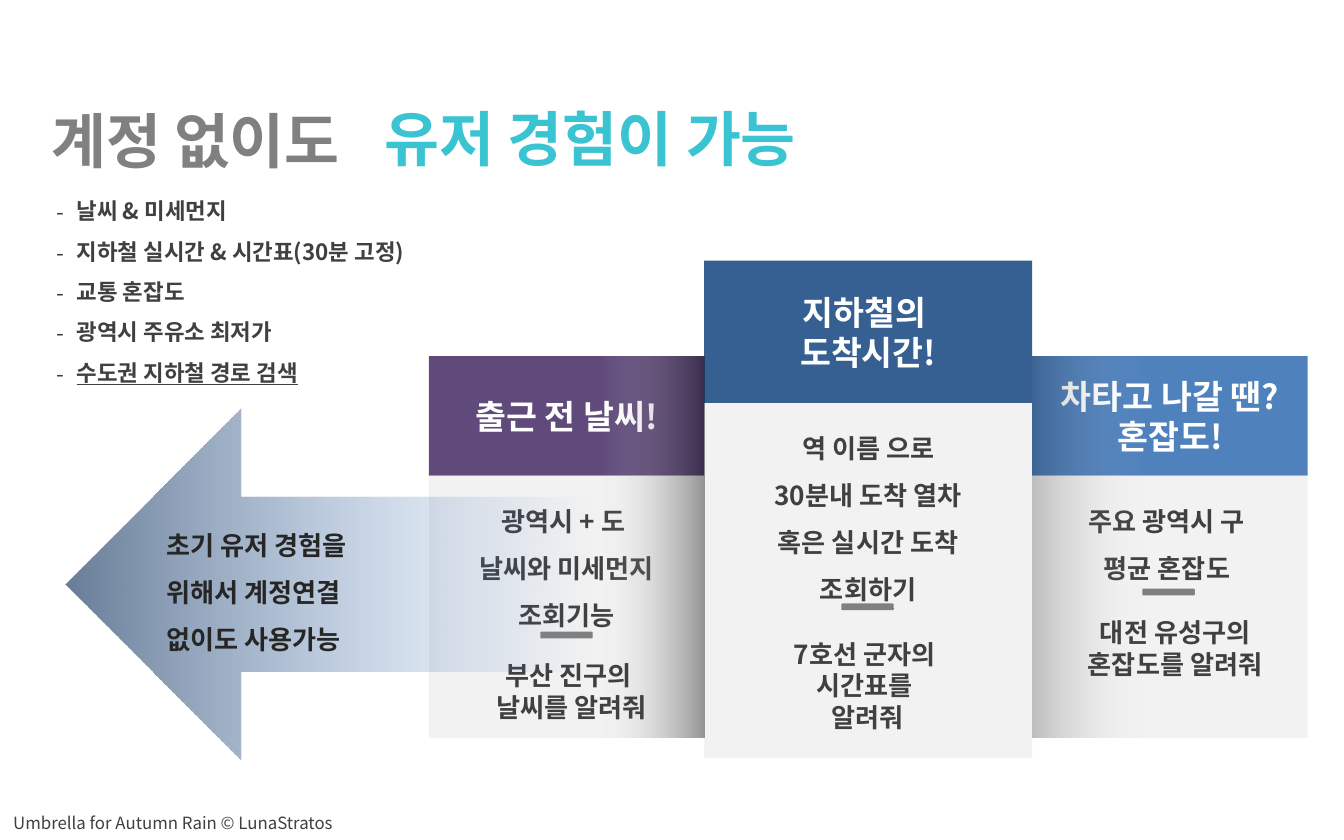
from lxml import etree
from pptx import Presentation
from pptx.dml.color import RGBColor
from pptx.enum.shapes import MSO_SHAPE
from pptx.enum.text import MSO_ANCHOR, MSO_AUTO_SIZE, PP_ALIGN
from pptx.oxml.ns import qn
from pptx.util import Inches, Pt

RECT, ROUND, ARROW = MSO_SHAPE.RECTANGLE, MSO_SHAPE.ROUNDED_RECTANGLE, MSO_SHAPE.LEFT_ARROW
TOP, MIDDLE = MSO_ANCHOR.TOP, MSO_ANCHOR.MIDDLE
LEFT, CENTER = PP_ALIGN.LEFT, PP_ALIGN.CENTER
FONT = "Noto Sans CJK KR"
LINE = 1.2  # height of a single line, in font sizes

C = {
    "gray": "808080", "dark_gray": "595959", "cyan": "3AC4D2", "azure": "1091FC",
    "text": "404040", "ink": "262626", "white": "FFFFFF", "black": "000000",
    "panel": "F2F2F2", "navy": "376092", "purple": "604A7B", "blue": "4F81BD",
    "arrow_dark": "17375E", "arrow_light": "558ED5",
}

# Content
TITLE, TITLE_ACCENT = "계정 없이도", "유저 경험이 가능"
FEATURES = ["날씨 & 미세먼지", "지하철 실시간 & 시간표(30분 고정)", "교통 혼잡도",
            "광역시 주유소 최저가", "수도권 지하철 경로 검색"]
# box: left, top, width, header height, body height; bar and example: left, top
CARDS = [
    {"box": (5.24, 1.94, 2.44, 1.06, 2.64), "color": "navy",
     "head": ["지하철의 ", "도착시간!"],
     "body": ["역 이름 으로", "30분내 도착 열차", "혹은 실시간 도착", "조회하기"],
     "bar": (6.26, 4.49), "example_at": (5.47, 4.7),
     "example": ["7호선 군자의 ", "시간표를 ", "알려줘"], "shades": []},
    {"box": (3.19, 2.65, 2.05, 0.89, 1.95), "color": "purple",
     "head": ["출근 전 날씨!"],
     "body": ["광역시 + 도 ", "날씨와 미세먼지", "조회기능"],
     "bar": (4.02, 4.7), "example_at": (3.27, 4.86),
     "example": ["부산 진구의 ", "날씨를 알려줘"],
     "shades": [(4.45, 0.79, "right")] * 2},
    {"box": (7.68, 2.65, 2.05, 0.89, 1.95), "color": "blue",
     "head": ["차타고 나갈 땐?", "혼잡도!"],
     "body": ["주요 광역시 구 ", "평균 혼잡도 "],
     "bar": (8.5, 4.38), "example_at": (7.76, 4.54),
     "example": ["대전 유성구의", "혼잡도를 알려줘"],
     "shades": [(7.68, 0.86, "left")]},
]
ARROW_TEXT = ["초기 유저 경험을", "위해서 계정연결", "없이도 사용가능"]
FOOTER = "Umbrella for Autumn Rain © LunaStratos"


def rgb(name):
    return RGBColor.from_string(C[name])


def set_gradient(fill, names, angle):
    fill.gradient()
    fill.gradient_angle = angle
    for stop, name in zip(fill.gradient_stops, names):
        stop.color.rgb = rgb(name)


def write(sp, lines, size, color, align=LEFT, spacing=1, bold=True,
          anchor=TOP, wrap=True, bullet=None):
    """Fill a shape with one paragraph a line; a tuple of colours is a gradient."""
    tf = sp.text_frame
    tf.word_wrap = wrap
    tf.auto_size = MSO_AUTO_SIZE.NONE
    tf.vertical_anchor = anchor
    for i, line in enumerate(lines):
        p = tf.paragraphs[0] if i == 0 else tf.add_paragraph()
        p.alignment = align
        p.line_spacing = Pt(round(size * LINE * spacing, 1))
        p.space_before = p.space_after = Pt(0)
        if bullet:
            pPr = p._p.get_or_add_pPr()
            pPr.set("marL", str(Inches(0.18)))
            pPr.set("indent", str(Inches(-0.15)))
            etree.SubElement(pPr, qn("a:buFont"), typeface=FONT)
            etree.SubElement(pPr, qn("a:buChar"), char=bullet)
        r = p.add_run()
        r.text = line
        r.font.size, r.font.bold, r.font.name = Pt(size), bold, FONT
        if isinstance(color, tuple):
            set_gradient(r.font.fill, color, 270)
        else:
            r.font.color.rgb = rgb(color)
        etree.SubElement(r._r.get_or_add_rPr(), qn("a:ea"), typeface=FONT)


def place(sp, x, y, w, h):
    sp.left, sp.top, sp.width, sp.height = map(Inches, (x, y, w, h))
    return sp


def add_shape(kind, x, y, w, h, color=None):
    sp = s.shapes.add_shape(kind, *map(Inches, (x, y, w, h)))
    sp.shadow.inherit = False
    sp.line.fill.background()
    if color:
        sp.fill.solid()
        sp.fill.fore_color.rgb = rgb(color)
    return sp


def add_fade(kind, x, y, w, h, stops):
    """Shape with a left-to-right gradient of (colour, opacity percent)."""
    sp = add_shape(kind, x, y, w, h)
    set_gradient(sp.fill, [name for name, _ in stops], 0)
    colors = sp._element.spPr.iter(qn("a:srgbClr"))
    for clr, (_, opacity) in zip(list(colors), stops):
        etree.SubElement(clr, qn("a:alpha"), val=str(opacity * 1000))


def add_text(x, y, w, h, *args, **kwargs):
    write(s.shapes.add_textbox(*map(Inches, (x, y, w, h))), *args, **kwargs)


prs = Presentation()
prs.slide_width, prs.slide_height = Inches(10), Inches(6.25)
s = prs.slides.add_slide(prs.slide_layouts[1])

# Title in two colours
write(place(s.shapes.title, 0.28, 0.72, 2.6, 0.64), [TITLE], 32,
      ("gray", "dark_gray"), wrap=False)
add_text(2.76, 0.71, 3.66, 0.64, [TITLE_ACCENT], 32, ("cyan", "azure"), wrap=False)

# Feature list, last entry underlined
features = place(s.placeholders[1], 0.29, 1.32, 3.11, 1.62)
write(features, FEATURES, 12, "text", spacing=1.5, wrap=False, bullet="-")
features.text_frame.paragraphs[-1].runs[0].font.underline = True

# Cards: header, body, side shades, bar and example
for card in CARDS:
    x, y, w, head_h, body_h = card["box"]
    head = add_shape(RECT, x, y, w, head_h, card["color"])
    write(head, card["head"], 18, "white", CENTER, anchor=MIDDLE)
    body = add_shape(RECT, x, y + head_h, w, body_h, "panel")
    body.text_frame.margin_top = Inches(0.1)
    write(body, card["body"], 14, "text", CENTER, spacing=1.5)
    for shade_x, shade_w, dark_side in card["shades"]:
        stops = [("white", 0), ("black", 22)]
        add_fade(RECT, shade_x, y, shade_w, head_h + body_h,
                 stops if dark_side == "right" else stops[::-1])
    add_shape(ROUND, *card["bar"], 0.39, 0.05, "gray")
    lines = card["example"]
    add_text(*card["example_at"], 1.97, 0.1 + 0.24 * len(lines),
             lines, 14, "text", CENTER)

# Fading arrow with its message
add_fade(ARROW, 0.49, 3.04, 3.92, 2.61, [("arrow_dark", 65), ("arrow_light", 0)])
add_text(1.14, 3.77, 1.78, 1.16, ARROW_TEXT, 14, "ink", spacing=1.5, wrap=False)

# Footer
add_text(0, 6, 2.97, 0.25, [FOOTER], 9, "text", bold=False)

prs.save("out.pptx")
